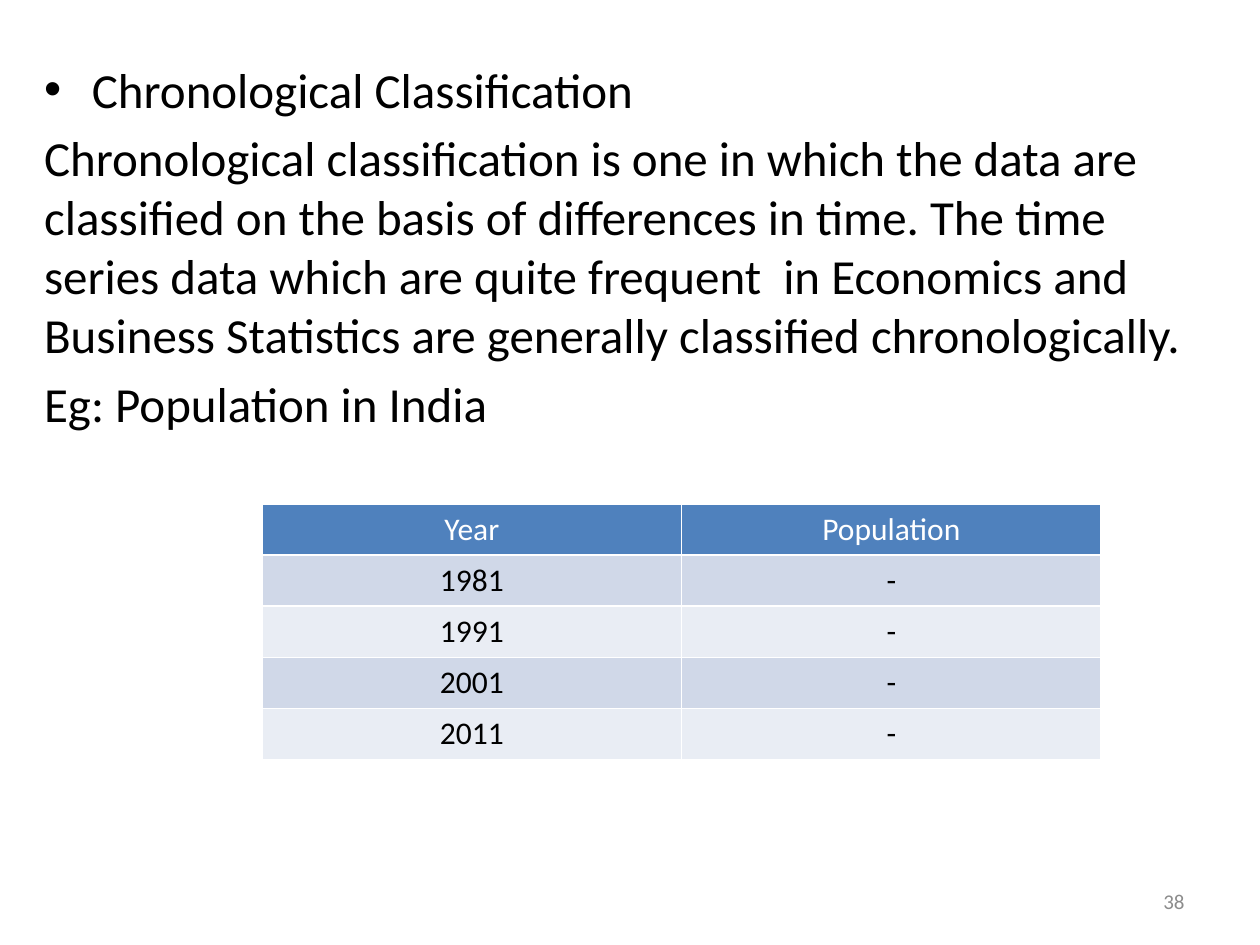
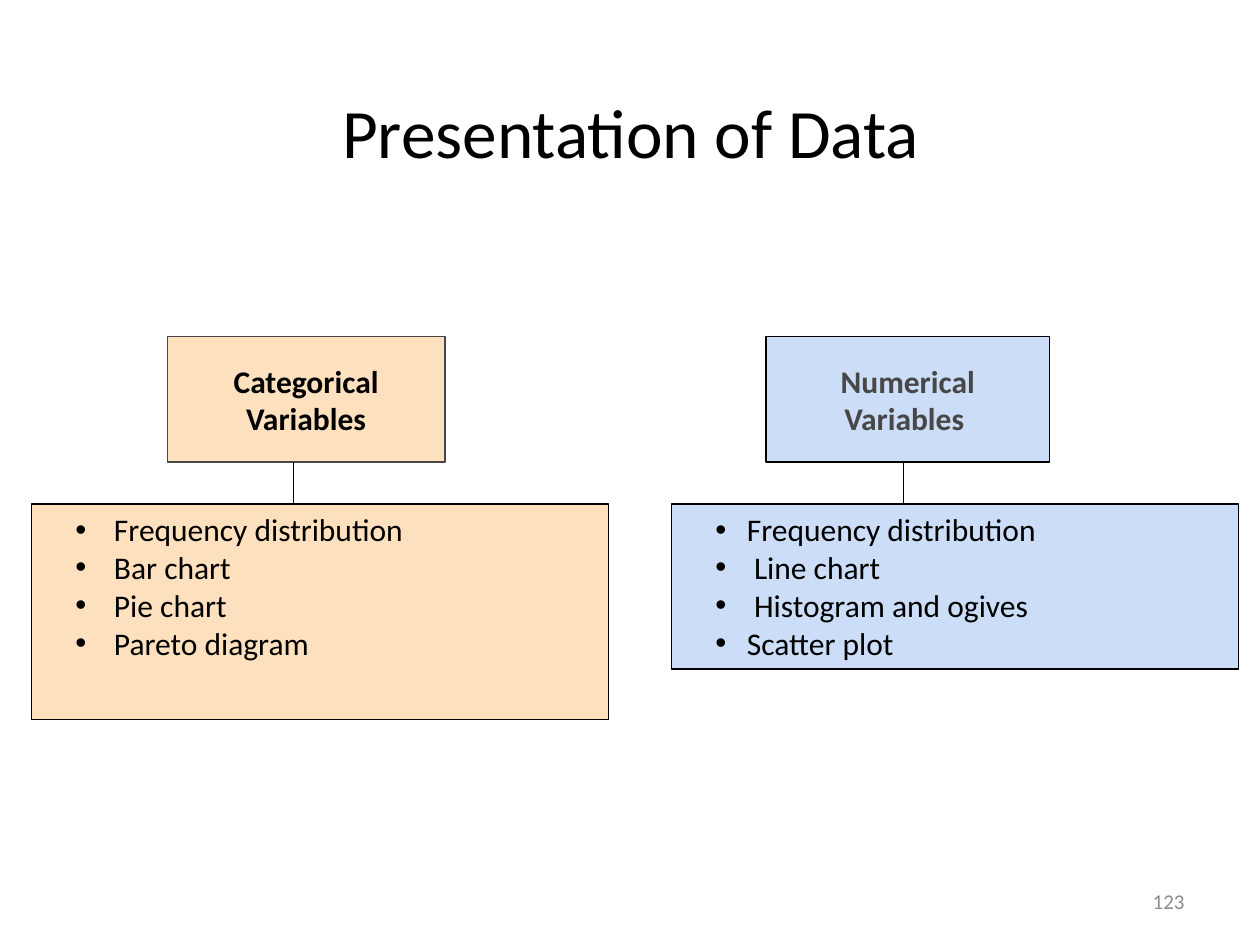
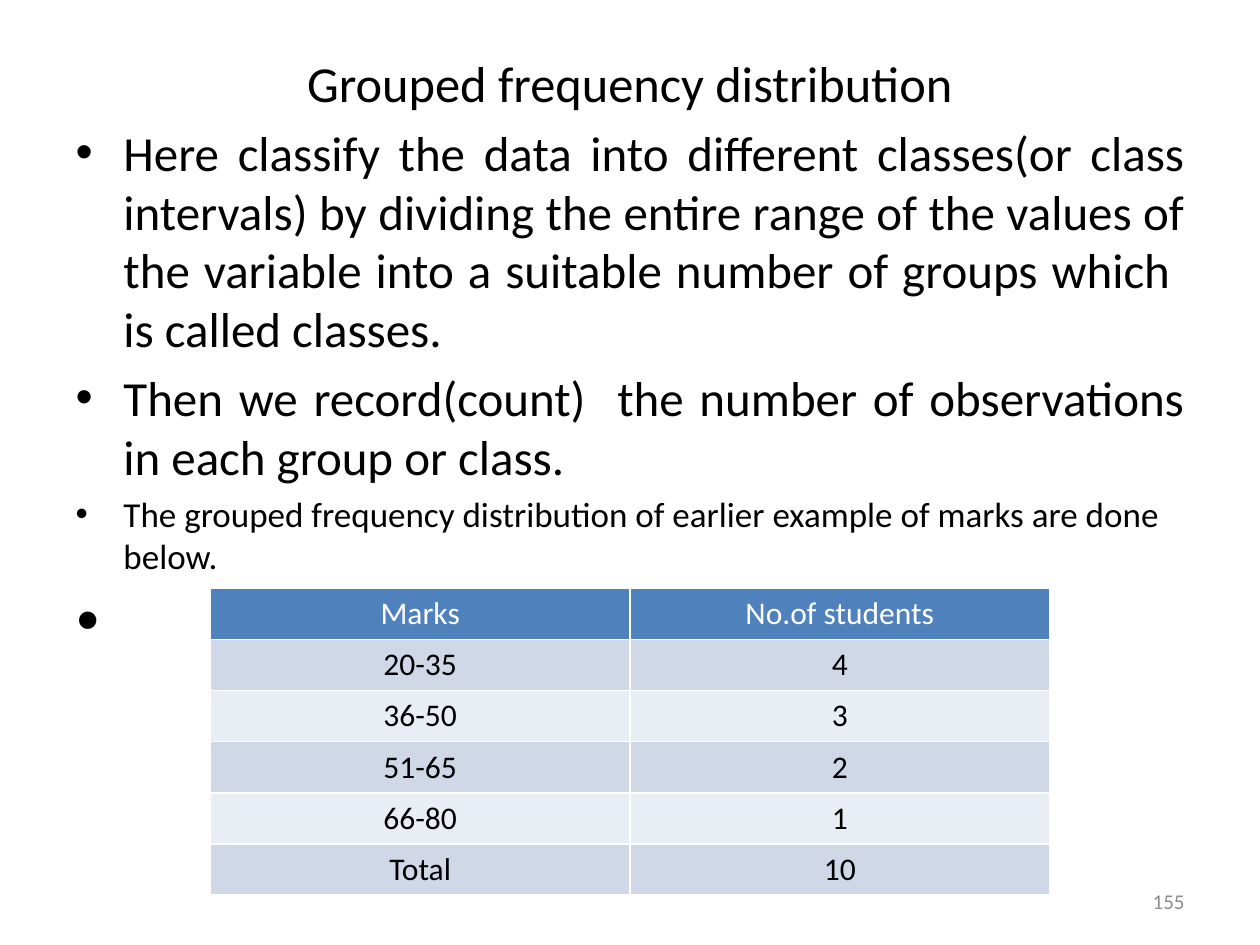
from lxml import etree
from pptx import Presentation
from pptx.dml.color import RGBColor
from pptx.enum.shapes import MSO_CONNECTOR, MSO_SHAPE
from pptx.enum.text import MSO_ANCHOR, MSO_AUTO_SIZE, PP_ALIGN
from pptx.oxml.ns import qn
from pptx.util import Inches, Pt

CENTER, JUSTIFY, LEFT, RIGHT = (
    PP_ALIGN.CENTER, PP_ALIGN.JUSTIFY, PP_ALIGN.LEFT, PP_ALIGN.RIGHT)
TOP, MIDDLE, BOTTOM = MSO_ANCHOR.TOP, MSO_ANCHOR.MIDDLE, MSO_ANCHOR.BOTTOM
NO_FIT = MSO_AUTO_SIZE.NONE
RECTANGLE = MSO_SHAPE.RECTANGLE
STRAIGHT = MSO_CONNECTOR.STRAIGHT

FONT = "Calibri"
COLORS = {
    "text": "000000",
    "muted": "474747",
    "number": "8C8C8C",
    "header": "4F81BD",
    "header_text": "FFFFFF",
    "band_dark": "D0D8E8",
    "band_light": "E9EDF4",
    "categorical": "FDE0BD",
    "numerical": "CBDDF7",
}
TITLE_AND_BODY, TITLE_ONLY = 1, 5
COLUMN_WIDTH, ROW_HEIGHT = 3.33, 0.405
HEADING_TOP, HEADING_HEIGHT, METHODS_TOP = 2.67, 1, 4


def color(name):
    return RGBColor.from_string(COLORS[name])


def add_run(paragraph, text, size, ink="text", bold=False):
    run = paragraph.add_run()
    run.text = text
    run.font.name = FONT
    run.font.size = Pt(size)
    run.font.bold = bold
    run.font.color.rgb = color(ink)


def next_paragraph(frame, index):
    return frame.paragraphs[0] if index == 0 else frame.add_paragraph()


def set_bullet(paragraph, margin, hang, bulleted):
    properties = paragraph._p.get_or_add_pPr()
    properties.set("marL", str(Inches(margin)))
    properties.set("indent", str(-Inches(hang)))
    if bulleted:
        etree.SubElement(properties, qn("a:buFont"), typeface="Arial")
        etree.SubElement(properties, qn("a:buChar"), char="•")
    else:
        etree.SubElement(properties, qn("a:buNone"))


def place(shape, left, top, width, height):
    shape.left, shape.top = Inches(left), Inches(top)
    shape.width, shape.height = Inches(width), Inches(height)


def add_title(slide, text, box, size, anchor):
    title = slide.shapes.title
    place(title, *box)
    frame = title.text_frame
    frame.auto_size = NO_FIT
    frame.vertical_anchor = anchor
    frame.paragraphs[0].alignment = CENTER
    add_run(frame.paragraphs[0], text, size)


def add_body(slide, box, items):
    """Fill the body with (text, size, alignment, bulleted) items."""
    body = slide.placeholders[1]
    place(body, *box)
    frame = body.text_frame
    frame.auto_size = NO_FIT
    for index, (text, size, alignment, bulleted) in enumerate(items):
        paragraph = next_paragraph(frame, index)
        indent = 0.38 if bulleted else 0
        set_bullet(paragraph, indent, indent, bulleted)
        paragraph.alignment = alignment
        if index == 0:
            paragraph.space_before = Pt(0)
        add_run(paragraph, text, size)


def add_banded_table(slide, left, top, rows):
    columns = len(rows[0])
    table = slide.shapes.add_table(
        len(rows), columns, Inches(left), Inches(top),
        Inches(COLUMN_WIDTH * columns), Inches(ROW_HEIGHT * len(rows))).table
    for column in table.columns:
        column.width = Inches(COLUMN_WIDTH)
    for row_index, values in enumerate(rows):
        table.rows[row_index].height = Inches(ROW_HEIGHT)
        if row_index == 0:
            band, ink = "header", "header_text"
        else:
            band, ink = ("band_dark" if row_index % 2 else "band_light"), "text"
        for column_index, value in enumerate(values):
            cell = table.cell(row_index, column_index)
            cell.fill.solid()
            cell.fill.fore_color.rgb = color(band)
            paragraph = cell.text_frame.paragraphs[0]
            paragraph.alignment = CENTER
            add_run(paragraph, value, 18, ink)


def add_box(slide, box, fill, outline, anchor):
    shape = slide.shapes.add_shape(RECTANGLE, *map(Inches, box))
    shape.shadow.inherit = False
    shape.fill.solid()
    shape.fill.fore_color.rgb = color(fill)
    shape.line.color.rgb = color(outline)
    shape.line.width = Pt(1)
    shape.text_frame.vertical_anchor = anchor
    return shape.text_frame


def add_heading_box(slide, left, width, lines, fill, outline, ink):
    box = (left, HEADING_TOP, width, HEADING_HEIGHT)
    frame = add_box(slide, box, fill, outline, MIDDLE)
    frame.word_wrap = False
    for index, line in enumerate(lines):
        paragraph = next_paragraph(frame, index)
        paragraph.alignment = CENTER
        add_run(paragraph, line, 18, ink, bold=True)


def add_methods_box(slide, left, width, height, methods, fill):
    frame = add_box(slide, (left, METHODS_TOP, width, height), fill, "text", TOP)
    frame.word_wrap = True
    for index, method in enumerate(methods):
        paragraph = next_paragraph(frame, index)
        set_bullet(paragraph, 0.5, 0.25, True)
        paragraph.alignment = LEFT
        add_run(paragraph, method, 18)


def add_link(slide, x):
    """Join a heading box to the methods box below it."""
    link = slide.shapes.add_connector(
        STRAIGHT, Inches(x), Inches(HEADING_TOP + HEADING_HEIGHT),
        Inches(x), Inches(METHODS_TOP))
    link.line.color.rgb = color("text")
    link.line.width = Pt(0.75)
    etree.SubElement(link._element.spPr, qn("a:effectLst"))


def add_slide_number(slide, number):
    box = slide.shapes.add_textbox(
        Inches(7.17), Inches(6.95), Inches(2.33), Inches(0.4))
    frame = box.text_frame
    frame.word_wrap = True
    frame.vertical_anchor = MIDDLE
    frame.paragraphs[0].alignment = RIGHT
    add_run(frame.paragraphs[0], str(number), 12, "number")


def new_slide(prs, layout):
    return prs.slides.add_slide(prs.slide_layouts[layout])


def build_chronological(prs):
    slide = new_slide(prs, TITLE_AND_BODY)
    unused_title = slide.shapes.title._element
    unused_title.getparent().remove(unused_title)
    add_body(slide, (0.25, 0.42, 9.33, 6.67), [
        ("Chronological Classification", 28, LEFT, True),
        ("Chronological classification is one in which the data are "
         "classified on the basis of differences in time. The time series "
         "data which are quite frequent  in Economics and Business "
         "Statistics are generally classified chronologically.",
         28, LEFT, False),
        ("Eg: Population in India", 28, LEFT, False),
    ])
    years = ("1981", "1991", "2001", "2011")
    add_banded_table(slide, 2.08, 4, [
        ("Year", "Population"), *((year, "-") for year in years)])
    add_slide_number(slide, 38)


def build_presentation_of_data(prs):
    slide = new_slide(prs, TITLE_ONLY)
    add_title(slide, "Presentation of Data", (1.17, 0.17, 7.67, 1.25),
              39.6, BOTTOM)
    add_heading_box(slide, 1.33, 2.2, ("Categorical", "Variables"),
                    "categorical", "muted", "text")
    add_heading_box(slide, 6.08, 2.25, ("Numerical", "Variables "),
                    "numerical", "text", "muted")
    add_methods_box(slide, 0.25, 4.58, 1.71, (
        " Frequency distribution", " Bar chart", " Pie chart",
        " Pareto diagram"), "categorical")
    add_methods_box(slide, 5.33, 4.5, 1.31, (
        "Frequency distribution", " Line chart", " Histogram and ogives",
        "Scatter plot"), "numerical")
    for x in (2.33, 7.17):
        add_link(slide, x)
    add_slide_number(slide, 123)


def build_grouped_frequency(prs):
    slide = new_slide(prs, TITLE_AND_BODY)
    add_title(slide, "Grouped frequency distribution", (0.5, 0.3, 9, 0.7),
              28.8, MIDDLE)
    add_body(slide, (0.5, 0.92, 9, 6.33), [
        ("Here classify the data into different classes(or class intervals) "
         "by dividing the entire range of the values of the variable into a "
         "suitable number of groups which  is called classes.",
         28, JUSTIFY, True),
        ("Then we record(count)  the number of observations in each group "
         "or class.", 28, JUSTIFY, True),
        ("The grouped frequency distribution of earlier example of marks "
         "are done below.", 20, LEFT, True),
        ("•", 28, LEFT, False),
    ])
    add_banded_table(slide, 1.67, 4.67, [
        ("Marks", "No.of students"),
        ("20-35", "4"),
        ("36-50", "3"),
        ("51-65", "2"),
        ("66-80", "1"),
        ("Total", "10"),
    ])
    add_slide_number(slide, 155)


def main():
    prs = Presentation()
    prs.slide_width, prs.slide_height = Inches(10), Inches(7.5)
    build_chronological(prs)
    build_presentation_of_data(prs)
    build_grouped_frequency(prs)
    prs.save("out.pptx")


if __name__ == "__main__":
    main()
